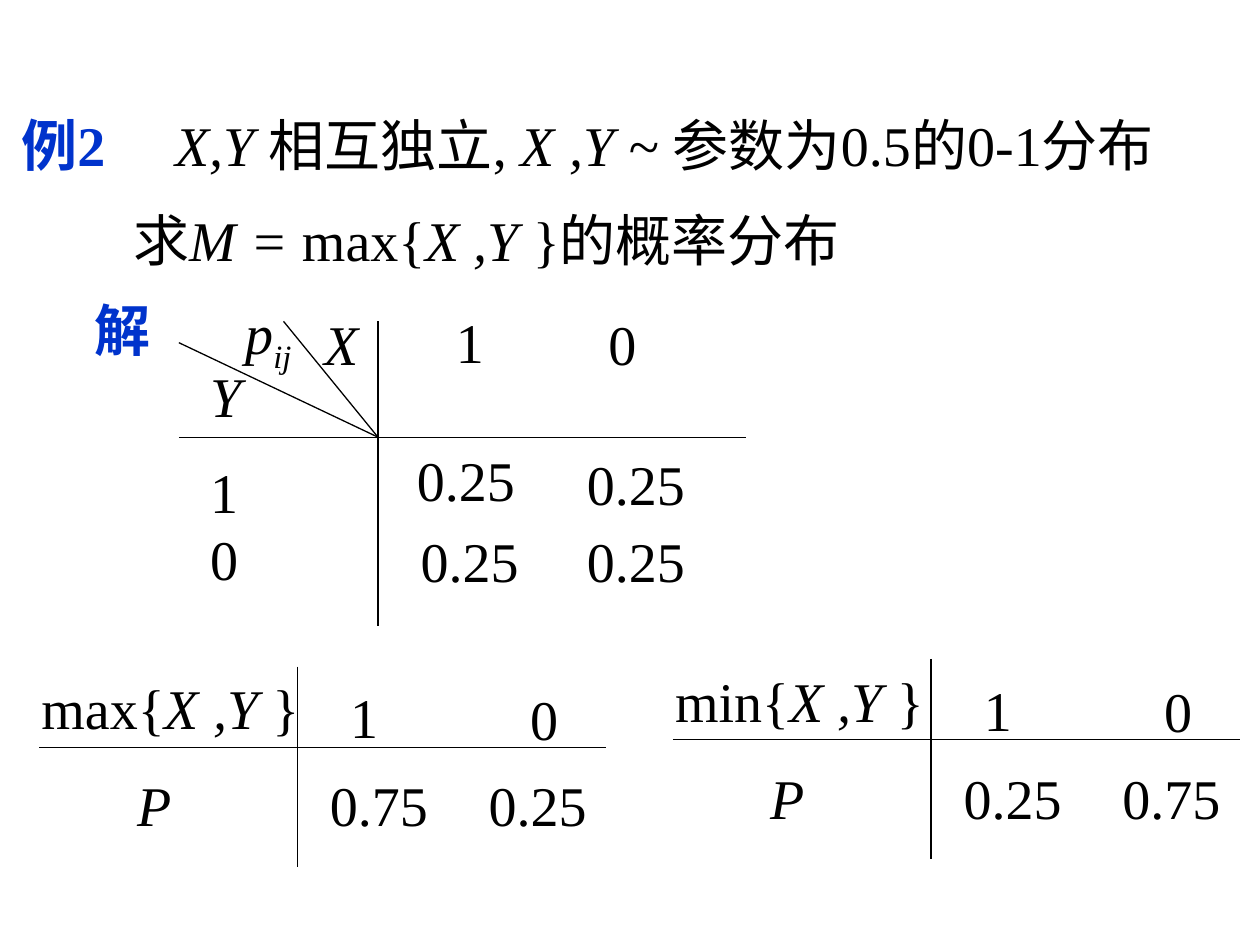
from pptx import Presentation
from pptx.dml.color import RGBColor
from pptx.enum.shapes import MSO_CONNECTOR
from pptx.enum.text import MSO_ANCHOR, MSO_AUTO_SIZE, PP_ALIGN
from pptx.oxml.ns import qn
from pptx.util import Pt
from lxml import etree

STRAIGHT = MSO_CONNECTOR.STRAIGHT
TOP = MSO_ANCHOR.TOP
FIT = MSO_AUTO_SIZE.SHAPE_TO_FIT_TEXT
FIXED = MSO_AUTO_SIZE.NONE
LEFT = PP_ALIGN.LEFT
PX = 9144
THEME = {
    "font": "Times New Roman",
    "size": Pt(32),
    "ink": RGBColor(0, 0, 0),
    "mark": RGBColor(0, 0x33, 0xCC),
    "rule": Pt(0.75),
}

deck = Presentation()
deck.slide_width = 1000 * PX
deck.slide_height = 750 * PX
slide = deck.slides.add_slide(deck.slide_layouts[5])


def write(left, top, width, text, height=64, box=None):
    box = box or slide.shapes.add_textbox(0, 0, 0, 0)
    box.left, box.top = left * PX, top * PX
    box.width, box.height = width * PX, height * PX
    frame = box.text_frame
    frame.word_wrap = False
    frame.auto_size = FIT
    frame.vertical_anchor = TOP
    for row, line in enumerate(text.split("\n")):
        para = frame.add_paragraph() if row else frame.paragraphs[0]
        para.alignment = LEFT
        for turn, part in enumerate(line.split("_")):
            if part:
                run = para.add_run()
                run.text = part
                run.font.name = THEME["font"]
                run.font.size = THEME["size"]
                run.font.color.rgb = THEME["ink"]
                run.font.bold = False
                run.font.italic = turn % 2 == 1
    return frame


def rule(x1, y1, x2, y2):
    line = slide.shapes.add_connector(STRAIGHT, x1 * PX, y1 * PX, x2 * PX, y2 * PX)
    line.line.color.rgb = THEME["ink"]
    line.line.width = THEME["rule"]
    etree.SubElement(line._element.spPr, qn("a:effectLst"))


title = slide.shapes.title
props = title.text_frame.paragraphs[0]._p.get_or_add_pPr()
stops = etree.SubElement(props, qn("a:tabLst"))
etree.SubElement(stops, qn("a:tab"), pos=str(122 * PX), algn="l")
head = write(7, 83, 993, "例2\t_X,Y _相互独立, _X ,Y ~ _参数为0.5的0-1分布", box=title)
head.word_wrap = True
head.auto_size = FIXED
head.margin_right = 0

write(96, 158, 602, "求_M = _max{_X ,Y _}的概率分布")
proof = write(65, 230, 64, "解")
for frame in (head, proof):
    font = frame.paragraphs[0].runs[0].font
    font.bold = True
    font.color.rgb = THEME["mark"]

rule(142, 347, 592, 347)
rule(300, 255, 300, 497)
rule(225, 255, 300, 347)
rule(142, 272, 300, 347)
write(157, 282, 45, "_Y_")
write(248, 241, 47, "_X_")
joint = write(185, 232, 77, "_p__ij_", 71)
joint.word_wrap = True
sub = joint.paragraphs[0].runs[1].font
sub._element.set("baseline", "-25000")
write(352, 239, 42, "1")
write(473, 241, 42, "0")
write(157, 358, 42, "1\n0", 117)
for left, top in ((321, 349), (456, 352), (324, 413), (456, 413)):
    write(left, top, 98, "0.25")

for left, top, name, width, one, zero in (
    (31, 529, "max", 232, "0.75", "0.25"),
    (534, 523, "min", 225, "0.25", "0.75"),
):
    rule(left + 205, top, left + 205, top + 159)
    rule(left, top + 64, left + 450, top + 64)
    write(left - 8, top + 1, width, name + "{_X ,Y _}")
    write(left + 68, top + 78, 47, "_P_")
    write(left + 237, top + 8, 42, "1")
    write(left + 380, top + 9, 42, "0")
    write(left + 221, top + 78, 98, one)
    write(left + 347, top + 78, 98, zero)

deck.save("out.pptx")
